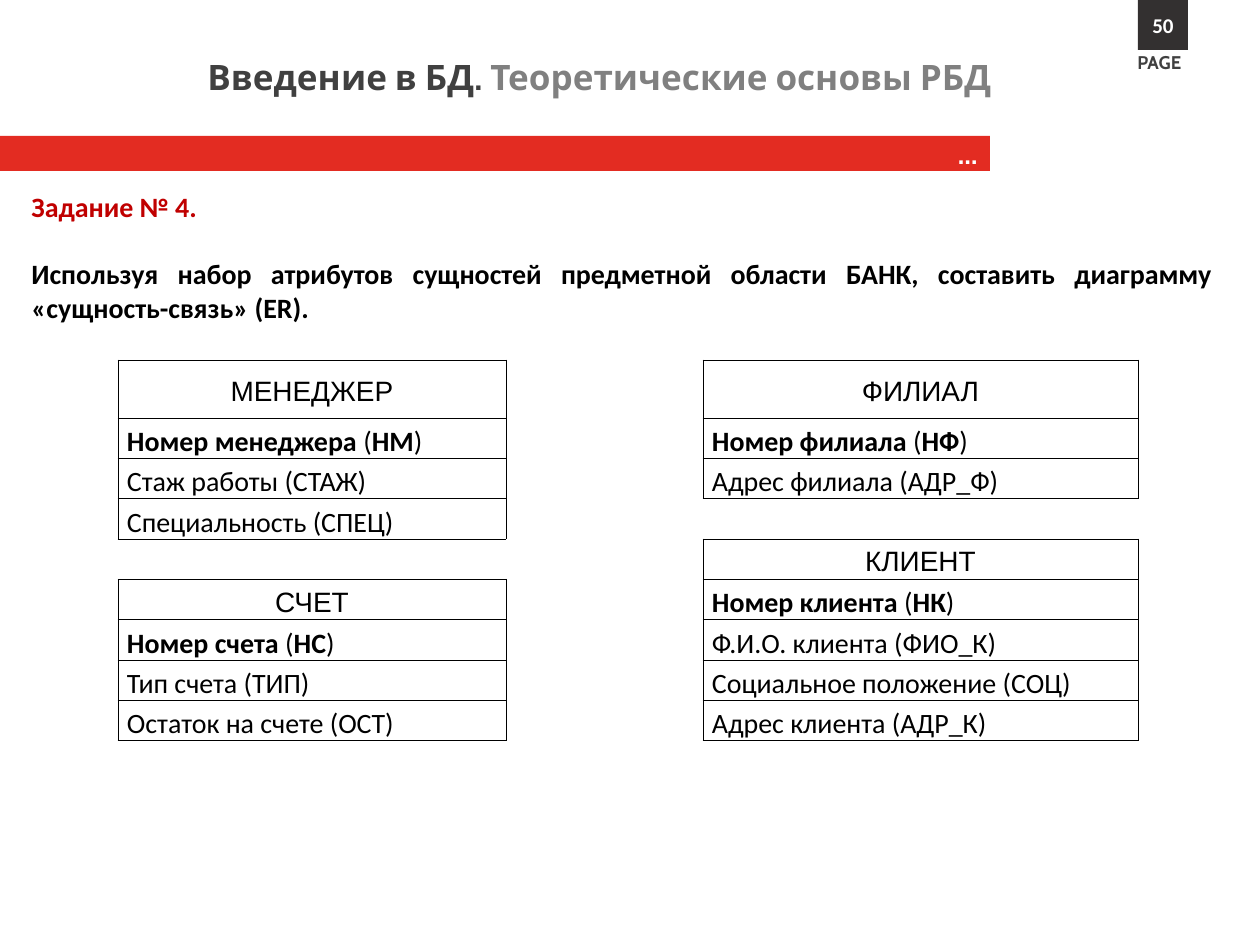
from dataclasses import dataclass

import lxml.etree
import pptx
import pptx.dml.color
import pptx.enum.shapes
import pptx.enum.text
import pptx.oxml.ns
import pptx.util

SCALE = 914400 // 126
COLORS = {
    "black": "000000",
    "white": "FFFFFF",
    "red": "E32C22",
    "crimson": "C00000",
    "badge": "333030",
    "dark": "404040",
    "gray": "808080",
}
ALIGN = pptx.enum.text.PP_ALIGN
ANCHOR = pptx.enum.text.MSO_ANCHOR
NO_GRID_STYLE = "{2D5ABB26-0587-4C30-8999-92F81FD0307C}"


@dataclass
class Run:
    text: str
    size: float = 16
    font: str = "Calibri"
    color: str = "black"
    bold: bool = False


@dataclass
class Box:
    left: int
    top: int
    width: int
    height: int


@dataclass
class Entity:
    name: str
    row: int
    col: int
    key: str
    code: str
    attributes: list[str]


ENTITIES = [
    Entity("МЕНЕДЖЕР", 0, 0, "Номер менеджера", "НМ",
           ["Стаж работы (СТАЖ)", "Специальность (СПЕЦ)"]),
    Entity("ФИЛИАЛ", 0, 2, "Номер филиала", "НФ", ["Адрес филиала (АДР_Ф)"]),
    Entity("КЛИЕНТ", 4, 2, "Номер клиента", "НК",
           ["Ф.И.О. клиента (ФИО_К)", "Социальное положение (СОЦ)", "Адрес клиента (АДР_К)"]),
    Entity("СЧЕТ", 5, 0, "Номер счета", "НС",
           ["Тип счета (ТИП)", "Остаток на счете (ОСТ)"]),
]
COLUMN_WIDTHS = [388, 197, 435]
ROW_HEIGHTS = [58] + [40] * 8


def px(n: int) -> int:
    return pptx.util.Emu(n * SCALE)


def rgb(name: str) -> pptx.dml.color.RGBColor:
    return pptx.dml.color.RGBColor.from_string(COLORS[name])


def place(box: Box) -> tuple[int, ...]:
    return tuple(px(n) for n in (box.left, box.top, box.width, box.height))


def add_runs(p, runs: list[Run], align=ALIGN.LEFT) -> None:
    p.alignment = align
    for run in runs:
        r = p.add_run()
        r.text = run.text
        r.font.size = pptx.util.Pt(run.size)
        r.font.name = run.font
        r.font.bold = run.bold
        r.font.color.rgb = rgb(run.color)


def add_title(s, box: Box, runs: list[Run]) -> None:
    sp = s.shapes.title
    sp.left, sp.top, sp.width, sp.height = place(box)
    tf = sp.text_frame
    tf.auto_size = pptx.enum.text.MSO_AUTO_SIZE.NONE
    tf.vertical_anchor = ANCHOR.TOP
    add_runs(tf.paragraphs[0], runs, ALIGN.RIGHT)


def add_rect(s, box: Box, fill: str, run: Run, align) -> None:
    sp = s.shapes.add_shape(pptx.enum.shapes.MSO_SHAPE.RECTANGLE, *place(box))
    sp.shadow.inherit = False
    sp.fill.solid()
    sp.fill.fore_color.rgb = rgb(fill)
    sp.line.fill.background()
    sp.text_frame.vertical_anchor = ANCHOR.MIDDLE
    add_runs(sp.text_frame.paragraphs[0], [run], align)


def add_text(s, box: Box, wrap: bool):
    tf = s.shapes.add_textbox(*place(box)).text_frame
    tf.word_wrap = wrap
    return tf


def add_borders(cell) -> None:
    tcPr = cell._tc.get_or_add_tcPr()
    qn = pptx.oxml.ns.qn
    for side in ("lnL", "lnR", "lnT", "lnB"):
        ln = lxml.etree.SubElement(tcPr, qn(f"a:{side}"), w=str(pptx.util.Pt(0.5)))
        fill = lxml.etree.SubElement(ln, qn("a:solidFill"))
        lxml.etree.SubElement(fill, qn("a:srgbClr"), val=COLORS["black"])


def fill_cell(cell, runs: list[Run], align, anchor) -> None:
    add_borders(cell)
    cell.vertical_anchor = anchor
    p = cell.text_frame.paragraphs[0]
    p.line_spacing = 1.2
    add_runs(p, runs, align)


def draw_entity(table, entity: Entity) -> None:
    key = [Run(entity.key, bold=True), Run(" ("), Run(entity.code, bold=True), Run(")")]
    fill_cell(table.cell(entity.row, entity.col), [Run(entity.name, font="Arial")],
              ALIGN.CENTER, ANCHOR.MIDDLE)
    lines = [key] + [[Run(text)] for text in entity.attributes]
    for row, runs in enumerate(lines, entity.row + 1):
        fill_cell(table.cell(row, entity.col), runs, ALIGN.JUSTIFY, ANCHOR.TOP)


def add_entity_table(s, left: int, top: int) -> None:
    box = Box(left, top, sum(COLUMN_WIDTHS), sum(ROW_HEIGHTS))
    table = s.shapes.add_table(len(ROW_HEIGHTS), len(COLUMN_WIDTHS), *place(box)).table
    table.first_row = table.horz_banding = False
    table._tbl.tblPr.find(pptx.oxml.ns.qn("a:tableStyleId")).text = NO_GRID_STYLE
    for column, width in zip(table.columns, COLUMN_WIDTHS):
        column.width = px(width)
    for row, height in zip(table.rows, ROW_HEIGHTS):
        row.height = px(height)
    for entity in ENTITIES:
        draw_entity(table, entity)
    for cell in table.iter_cells():
        cell.margin_left = cell.margin_right = px(9)
        cell.margin_top = cell.margin_bottom = 0
        cell.fill.background()
        if not cell.text_frame.text:
            p = cell.text_frame.paragraphs[0]
            lxml.etree.SubElement(p._p, pptx.oxml.ns.qn("a:endParaRPr"), sz="1600")


def main() -> None:
    prs = pptx.Presentation()
    prs.slide_width, prs.slide_height = px(1260), px(945)
    s = prs.slides.add_slide(prs.slide_layouts[5])

    add_title(s, Box(19, 49, 985, 55), [
        Run("Введение в БД. ", 20, "Cabin", "dark", True),
        Run("Теоретические основы РБД", 20, "Cabin", "gray", True),
    ])
    add_rect(s, Box(0, 136, 990, 35), "red", Run("…", 16, "Cabin", "white", True), ALIGN.RIGHT)
    add_rect(s, Box(1138, 0, 50, 50), "badge", Run("50", 12, "Calibri", "white", True),
             ALIGN.CENTER)
    page = add_text(s, Box(1125, 45, 74, 35), False)
    add_runs(page.paragraphs[0], [Run("PAGE", 10.5, "Cabin", "dark", True)])

    task = add_text(s, Box(19, 183, 1206, 149), True)
    add_runs(task.paragraphs[0], [Run("Задание № 4.", color="crimson", bold=True)])
    p = task.add_paragraph()
    p.space_before = pptx.util.Pt(19.5)
    add_runs(p, [Run("Используя набор атрибутов сущностей предметной области БАНК, "
                     "составить диаграмму «сущность-связь» (ER).", bold=True)], ALIGN.JUSTIFY)

    add_entity_table(s, 118, 360)
    prs.save("out.pptx")


if __name__ == "__main__":
    main()
